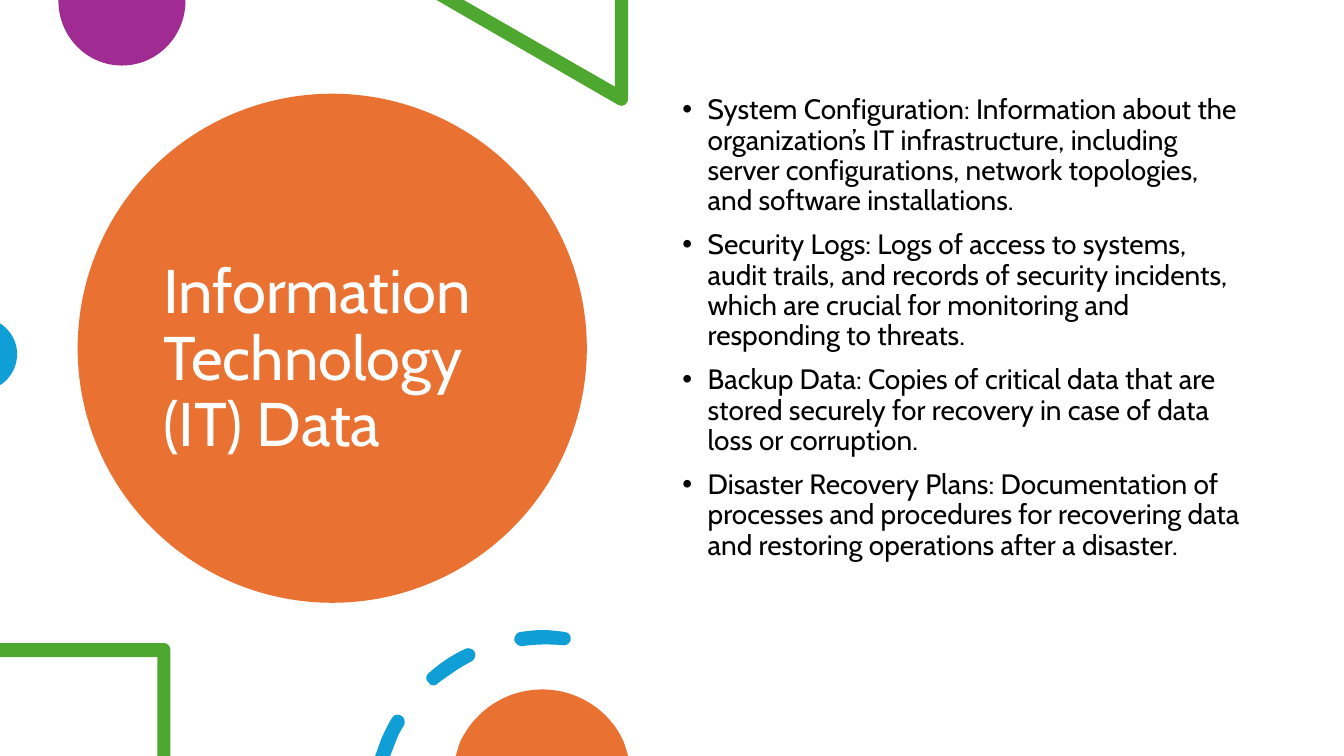
from dataclasses import dataclass

from lxml.etree import SubElement
from pptx import Presentation
from pptx.dml.color import RGBColor
from pptx.enum.shapes import MSO_SHAPE as Preset
from pptx.enum.text import MSO_ANCHOR as Anchor
from pptx.oxml.ns import qn
from pptx.shapes.autoshape import Shape
from pptx.slide import Slide
from pptx.text.text import TextFrame, _Paragraph as Paragraph
from pptx.util import Inches, Pt

FONT = "Cabin"
ORANGE, PURPLE, GREEN, BLUE = "E97132", "A02B93", "4EA72E", "0F9ED5"
WHITE, BLACK = "FFFFFF", "000000"

Step = tuple[float, ...]
Outline = list[Step]


@dataclass(frozen=True)
class Ornament:
    color: str
    outlines: list[Outline]


PURPLE_DISC = Ornament(PURPLE, [
    [(1.84, 0), (0.58, 0), (0.58, 0.01),
     (0.58, 0.36, 0.86, 0.65, 1.21, 0.65), (1.56, 0.65, 1.84, 0.36, 1.84, 0.01)],
])
GREEN_TRIANGLE = Ornament(GREEN, [
    [(6.23, 0), (6.1, 0), (6.1, 0.86), (4.6, 0), (4.33, 0), (6.13, 1.04),
     (6.14, 1.05, 6.15, 1.05, 6.16, 1.05), (6.2, 1.05, 6.23, 1.02, 6.23, 0.98)],
])
BLUE_DISC = Ornament(BLUE, [
    [(0, 3.21), (0, 3.82), (0.02, 3.81),
     (0.11, 3.74, 0.17, 3.64, 0.17, 3.51), (0.17, 3.39, 0.11, 3.29, 0.02, 3.22)],
])
GREEN_CORNER = Ornament(GREEN, [
    [(1.63, 6.38), (0, 6.38), (0, 6.52), (1.56, 6.52), (1.56, 7.5), (1.69, 7.5),
     (1.69, 6.45), (1.69, 6.41, 1.66, 6.38, 1.63, 6.38)],
])
DASHED_ARC = Ornament(BLUE, [
    [(3.95, 7.09), (3.93, 7.08, 3.9, 7.1, 3.89, 7.12),
     (3.85, 7.18, 3.82, 7.25, 3.79, 7.31), (3.72, 7.5), (3.87, 7.5), (3.92, 7.37),
     (3.94, 7.31, 3.97, 7.25, 4.01, 7.19), (4.02, 7.16, 4.01, 7.11, 3.98, 7.1),
     (3.97, 7.09, 3.96, 7.09, 3.95, 7.09)],
    [(4.64, 6.43), (4.63, 6.43, 4.62, 6.43, 4.61, 6.44),
     (4.48, 6.5, 4.36, 6.58, 4.25, 6.68), (4.22, 6.7, 4.22, 6.75, 4.25, 6.77),
     (4.26, 6.79, 4.28, 6.8, 4.3, 6.8), (4.32, 6.8, 4.33, 6.79, 4.34, 6.78),
     (4.45, 6.7, 4.56, 6.62, 4.68, 6.56), (4.71, 6.54, 4.72, 6.5, 4.71, 6.47),
     (4.69, 6.44, 4.67, 6.43, 4.64, 6.43)],
    [(5.38, 6.25), (5.31, 6.25, 5.24, 6.26, 5.16, 6.27),
     (5.13, 6.27, 5.1, 6.31, 5.1, 6.35), (5.11, 6.38, 5.14, 6.41, 5.17, 6.41),
     (5.18, 6.41), (5.32, 6.39, 5.45, 6.39, 5.58, 6.4),
     (5.62, 6.41, 5.65, 6.38, 5.66, 6.35), (5.67, 6.31, 5.64, 6.27, 5.6, 6.27),
     (5.53, 6.26, 5.45, 6.25, 5.38, 6.25)],
])
ORANGE_DISC = Ornament(ORANGE, [
    [(5.38, 6.84), (5.01, 6.84, 4.7, 7.06, 4.56, 7.37), (4.52, 7.5), (6.23, 7.5),
     (6.19, 7.37), (6.06, 7.06, 5.74, 6.84, 5.38, 6.84)],
])

TITLE = "Information Technology (IT) Data"
BULLETS = [
    "System Configuration: Information about the organization’s IT infrastructure, "
    "including server configurations, network topologies, and software installations.",
    "Security Logs: Logs of access to systems, audit trails, and records of security "
    "incidents, which are crucial for monitoring and responding to threats.",
    "Backup Data: Copies of critical data that are stored securely for recovery in "
    "case of data loss or corruption.",
    "Disaster Recovery Plans: Documentation of processes and procedures for "
    "recovering data and restoring operations after a disaster.",
]


def rgb(color: str) -> RGBColor:
    return RGBColor.from_string(color)


def paint(shape: Shape, color: str) -> None:
    shape.fill.solid()
    shape.fill.fore_color.rgb = rgb(color)
    shape.line.fill.background()
    shape.shadow.inherit = False


def step_points(step: Step) -> list[tuple[int, int]]:
    return [(Inches(x), Inches(y)) for x, y in zip(step[::2], step[1::2])]


def bend_curves(shape: Shape, outlines: list[Outline]) -> None:
    segments = iter(list(shape._element.iter(qn("a:lnTo"))))
    for outline in outlines:
        for step in outline[1:]:
            first, *others = [next(segments) for _ in step_points(step)]
            if others:
                first.tag = qn("a:cubicBezTo")
            for segment in others:
                first.append(segment[0])
                segment.getparent().remove(segment)


def add_ornament(page: Slide, ornament: Ornament) -> None:
    start = step_points(ornament.outlines[0][0])[0]
    builder = page.shapes.build_freeform(*start)
    for index, outline in enumerate(ornament.outlines):
        if index:
            builder.move_to(*step_points(outline[0])[0])
        points = [point for step in outline[1:] for point in step_points(step)]
        builder.add_line_segments(points, close=False)
        builder.add_line_segments([], close=True)
    shape = builder.convert_to_shape()
    bend_curves(shape, ornament.outlines)
    paint(shape, ornament.color)


def add_text_frame(page: Slide, left: float, top: float, width: float, height: float) -> TextFrame:
    box = page.shapes.add_textbox(Inches(left), Inches(top), Inches(width), Inches(height))
    box.text_frame.word_wrap = True
    return box.text_frame


def style(para: Paragraph, size: int, color: str) -> None:
    para.line_spacing = 0.9
    para.font.name = FONT
    para.font.size = Pt(size)
    para.font.color.rgb = rgb(color)


def add_bullet(para: Paragraph) -> None:
    properties = para._p.get_or_add_pPr()
    properties.set("marL", str(Inches(0.25)))
    properties.set("indent", str(Inches(-0.25)))
    SubElement(properties, qn("a:buFont")).set("typeface", "Arial")
    SubElement(properties, qn("a:buChar")).set("char", "•")


def add_title(page: Slide) -> None:
    disc = page.shapes.add_shape(Preset.OVAL, Inches(0.77), Inches(0.93), Inches(5.05), Inches(5.05))
    paint(disc, ORANGE)
    frame = add_text_frame(page, 1.52, 1.35, 3.54, 4.45)
    frame.vertical_anchor = Anchor.MIDDLE
    frame.text = TITLE
    style(frame.paragraphs[0], 44, WHITE)


def add_body(page: Slide) -> None:
    frame = add_text_frame(page, 6.67, 0.9, 5.75, 5.35)
    frame.text = "\n".join(BULLETS)
    for index, para in enumerate(frame.paragraphs):
        add_bullet(para)
        para.space_before = Pt(10 if index else 0)
        style(para, 20, BLACK)


def main() -> None:
    deck = Presentation()
    deck.slide_width, deck.slide_height = Inches(13.33), Inches(7.5)
    page = deck.slides.add_slide(deck.slide_layouts[6])
    add_title(page)
    for ornament in (PURPLE_DISC, GREEN_TRIANGLE, BLUE_DISC):
        add_ornament(page, ornament)
    add_body(page)
    for ornament in (GREEN_CORNER, DASHED_ARC, ORANGE_DISC):
        add_ornament(page, ornament)
    deck.save("out.pptx")


if __name__ == "__main__":
    main()
